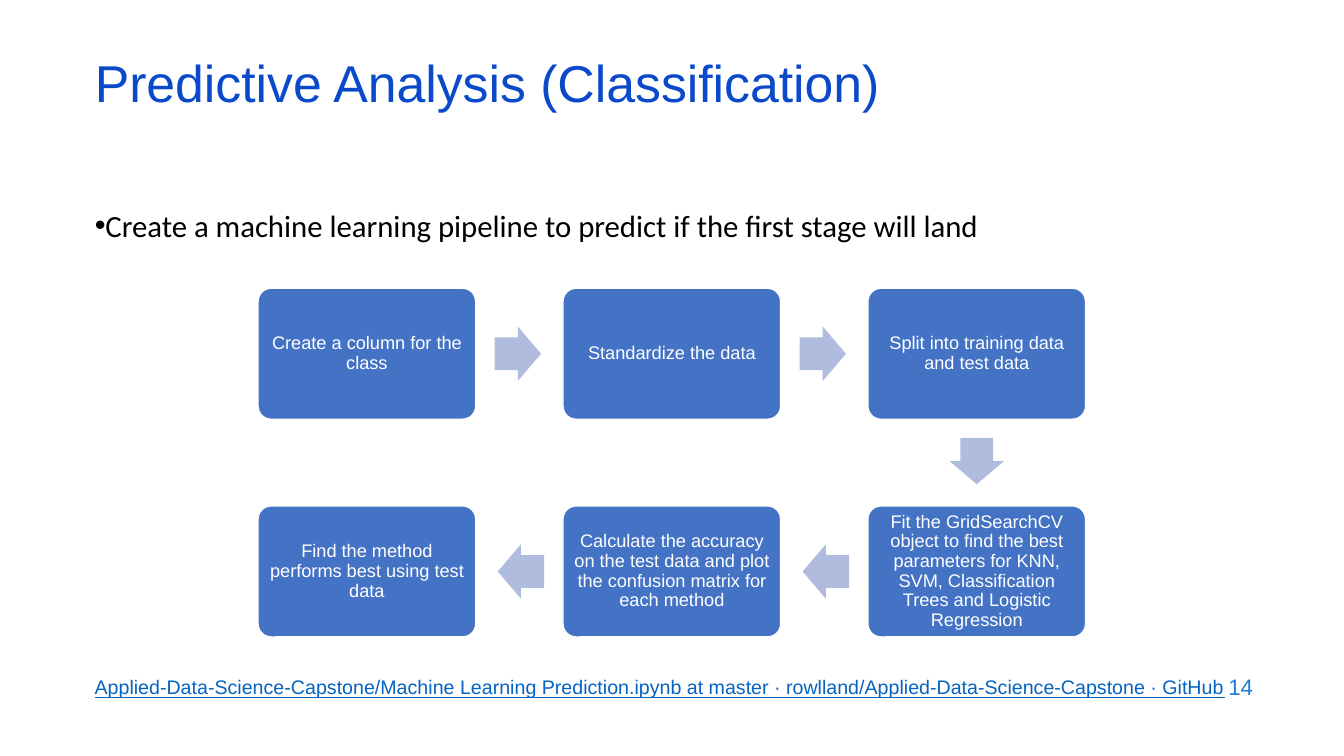
from itertools import pairwise

from lxml import etree
from pptx import Presentation
from pptx import util as u
from pptx.dml.color import RGBColor
from pptx.enum import shapes, text
from pptx.oxml import ns

Pt = u.Pt
TITLE_BLUE = RGBColor(0x0B, 0x49, 0xCB)
NUMBER_BLUE = RGBColor(0x1C, 0x7D, 0xDB)
LINK_BLUE = RGBColor(0x05, 0x63, 0xC1)
STEP_BLUE = RGBColor(0x44, 0x72, 0xC4)
ARROW_BLUE = RGBColor(0xB0, 0xBC, 0xDE)
WHITE = RGBColor(0xFF, 0xFF, 0xFF)
BLACK = RGBColor(0, 0, 0)

# Flow grid, in points
STEP_WIDTH, STEP_HEIGHT = 155.5, 93.6
ARROW_WIDTH, ARROW_HEIGHT = 33.1, 38.9
COLUMNS = [262.1 + 217.8 * column for column in range(3)]
ROWS = [252.7, 408.2]
ARROW_SHIFT = 1.1  # arrows sit slightly towards the step they leave

STEPS = [
    ("Create a column for the class", 0, 0),
    ("Standardize the data", 1, 0),
    ("Split into training data and test data", 2, 0),
    ("Fit the GridSearchCV object to find the best parameters for KNN, "
     "SVM, Classification Trees and Logistic Regression", 2, 1),
    ("Calculate the accuracy on the test data and plot the confusion "
     "matrix for each method", 1, 1),
    ("Find the method performs best using test data", 0, 1),
]


class SlideBuilder:
    font = "Arial"

    def __init__(self, page):
        self.page = page

    def set_text(self, box, words, size, color, font=None, align=text.PP_ALIGN.LEFT,
                 anchor=text.MSO_ANCHOR.TOP, spacing=1.0, underline=False, bullet=None):
        frame = box.text_frame
        frame.word_wrap = True
        frame.auto_size = text.MSO_AUTO_SIZE.NONE
        frame.vertical_anchor = anchor
        para = frame.paragraphs[0]
        para.alignment = align
        para.line_spacing = spacing
        para.space_before = Pt(0)
        if bullet:
            props = para._p.get_or_add_pPr()
            props.set("marL", "0")
            props.set("indent", "0")
            etree.SubElement(props, ns.qn("a:buChar")).set("char", bullet)
        span = para.add_run()
        span.text = words
        span.font.name = font or self.font
        span.font.size = Pt(size)
        span.font.color.rgb = color
        if underline:
            span.font.underline = True

    def placeholder(self, index, left, top, width, height, words, **style):
        box = self.page.placeholders[index]
        box.left, box.top = Pt(left), Pt(top)
        box.width, box.height = Pt(width), Pt(height)
        self.set_text(box, words, **style)

    def label(self, left, top, width, height, words, **style):
        box = self.page.shapes.add_textbox(Pt(left), Pt(top), Pt(width), Pt(height))
        self.set_text(box, words, **style)

    def shape(self, kind, center, width, height, fill, adjustments):
        x, y = center
        box = self.page.shapes.add_shape(
            kind, Pt(x - width / 2), Pt(y - height / 2), Pt(width), Pt(height))
        box.shadow.inherit = False
        box.fill.solid()
        box.fill.fore_color.rgb = fill
        box.line.fill.background()
        for index, value in enumerate(adjustments):
            box.adjustments[index] = value
        return box

    def step(self, center, words):
        box = self.shape(shapes.MSO_SHAPE.ROUNDED_RECTANGLE, center,
                         STEP_WIDTH, STEP_HEIGHT, STEP_BLUE, [0.1])
        box.line.color.rgb = WHITE
        box.line.width = Pt(1)
        frame = box.text_frame
        frame.margin_left = frame.margin_right = Pt(3.6)
        frame.margin_top = frame.margin_bottom = Pt(3.6)
        self.set_text(box, words, 13, WHITE, align=text.PP_ALIGN.CENTER,
                      anchor=text.MSO_ANCHOR.MIDDLE, spacing=0.9)

    def arrow(self, start, end):
        (x1, y1), (x2, y2) = start, end
        across = (x2 > x1) - (x2 < x1)
        down = (y2 > y1) - (y2 < y1)
        center = ((x1 + x2) / 2 - ARROW_SHIFT * across,
                  (y1 + y2) / 2 - ARROW_SHIFT * down)
        box = self.shape(shapes.MSO_SHAPE.RIGHT_ARROW, center,
                         ARROW_WIDTH, ARROW_HEIGHT, ARROW_BLUE, [0.6, 0.5])
        box.rotation = {(1, 0): 0, (0, 1): 90, (-1, 0): 180}[across, down]


def main():
    deck = Presentation()
    deck.slide_width, deck.slide_height = Pt(960), Pt(540)
    builder = SlideBuilder(deck.slides.add_slide(deck.slide_layouts[1]))

    # Title and lead statement
    builder.placeholder(0, 60.5, 42.5, 828, 43.2, "Predictive Analysis (Classification)",
                        size=37, color=TITLE_BLUE, anchor=text.MSO_ANCHOR.MIDDLE,
                        spacing=0.7)
    builder.placeholder(1, 60.5, 144, 767.5, 342.7,
                        "Create a machine learning pipeline to predict if the first "
                        "stage will land",
                        size=22, color=BLACK, font="Calibri", bullet="•")

    # Process flow
    centers = [(COLUMNS[column], ROWS[row]) for _, column, row in STEPS]
    for center, (words, _, _) in zip(centers, STEPS):
        builder.step(center, words)
    for start, end in pairwise(centers):
        builder.arrow(start, end)

    # Source line and page number
    builder.label(60.5, 478.8, 858.2, 24.5,
                  "Applied-Data-Science-Capstone/Machine Learning Prediction.ipynb "
                  "at master · rowlland/Applied-Data-Science-Capstone · GitHub",
                  size=14, color=LINK_BLUE, underline=True)
    builder.label(686.2, 474.5, 216, 31.7, "14", size=16, color=NUMBER_BLUE,
                  align=text.PP_ALIGN.RIGHT, anchor=text.MSO_ANCHOR.MIDDLE)

    deck.save("out.pptx")


if __name__ == "__main__":
    main()
